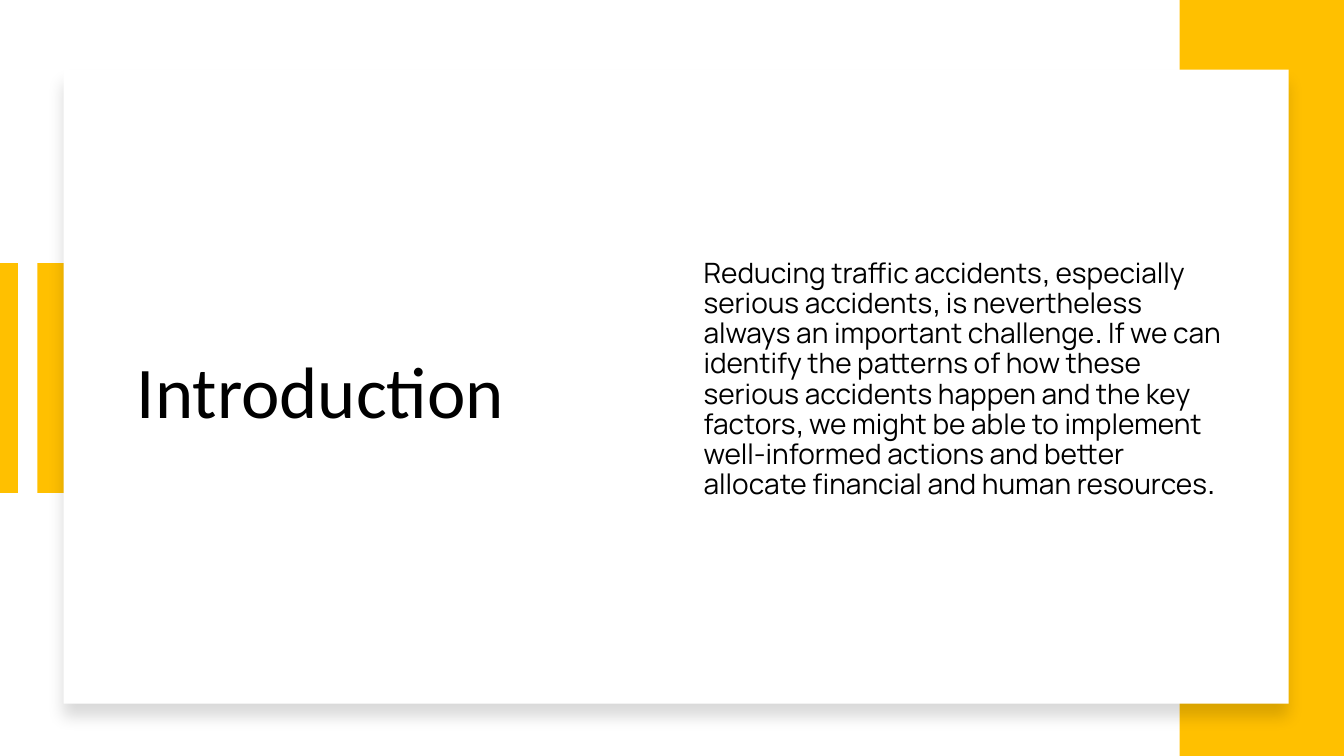
import itertools

import lxml.etree
import pptx
import pptx.dml.color
import pptx.enum.shapes
import pptx.enum.text
import pptx.oxml
import pptx.oxml.ns
import pptx.util

Inches = pptx.util.Inches
Pt = pptx.util.Pt
qn = pptx.oxml.ns.qn

AMBER = "FFC000"
WHITE = "FFFFFF"
BLACK = "000000"
INTRODUCTION = (
    "Reducing traffic accidents,\u00a0especially serious accidents,\u00a0is nevertheless "
    "always an important challenge.\u00a0If we can identify the patterns of how these "
    "serious accidents happen and the key factors,\u00a0we might be able to implement "
    "well-informed actions and better allocate financial and human resources."
)


def color(hex_value):
    return pptx.dml.color.RGBColor.from_string(hex_value)


def apply_format(target, values):
    for name, value in values.items():
        setattr(target, name, value)


def add_panel(slide, left, top, width, height, fill):
    shape = slide.shapes.add_shape(
        pptx.enum.shapes.MSO_SHAPE.RECTANGLE,
        Inches(left), Inches(top), Inches(width), Inches(height))
    shape.shadow.inherit = False
    shape.fill.solid()
    shape.fill.fore_color.rgb = color(fill)
    shape.line.fill.background()
    return shape


def add_soft_shadow(shape, blur, distance, angle, opacity):
    effects = shape._element.spPr.find(qn("a:effectLst"))
    shadow = lxml.etree.SubElement(
        effects, qn("a:outerShdw"), blurRad=str(Pt(blur)), dist=str(Pt(distance)),
        dir=str(angle * 60000), algn="t", rotWithShape="0")
    shade = lxml.etree.SubElement(shadow, qn("a:srgbClr"), val=BLACK)
    lxml.etree.SubElement(shade, qn("a:alpha"), val=str(opacity * 1000))


def add_vertical_line(slide, left, top, bottom, stroke, width):
    line = slide.shapes.add_connector(
        pptx.enum.shapes.MSO_CONNECTOR.STRAIGHT,
        Inches(left), Inches(top), Inches(left), Inches(bottom))
    line.line.color.rgb = color(stroke)
    line.line.width = Pt(width)
    lxml.etree.SubElement(line._element.spPr, qn("a:effectLst"))


def add_text(slide, left, width, runs, size, frame_format=None, paragraph_format=None):
    box = slide.shapes.add_textbox(Inches(left), Inches(1.36), Inches(width), Inches(5.12))
    frame = box.text_frame
    apply_format(frame, {
        "word_wrap": True,
        "vertical_anchor": pptx.enum.text.MSO_ANCHOR.MIDDLE,
        **(frame_format or {}),
    })
    paragraph = frame.paragraphs[0]
    apply_format(paragraph, {"line_spacing": 0.9, **(paragraph_format or {})})
    for text, font_name in runs:
        run = paragraph.add_run()
        run.text = text
        apply_format(run.font, {"name": font_name, "size": Pt(size)})
        run.font.color.rgb = color(BLACK)


def split_punctuation(text, word_font, mark_font):
    groups = itertools.groupby(text, key=lambda character: character in ",.")
    return [("".join(part), mark_font if is_mark else word_font) for is_mark, part in groups]


def main():
    presentation = pptx.Presentation()
    presentation.slide_width = Inches(13.33)
    presentation.slide_height = Inches(7.5)
    slide = presentation.slides.add_slide(presentation.slide_layouts[6])

    # Amber accents on both edges
    add_panel(slide, 0.37, 2.61, 0.34, 2.28, AMBER)
    add_vertical_line(slide, 0.08, 2.61, 4.89, AMBER, 14)
    add_panel(slide, 11.7, 0, 1.63, 7.5, AMBER)

    # White card with a soft shadow
    card = add_panel(slide, 0.63, 0.69, 12.15, 6.29, WHITE)
    add_soft_shadow(card, blur=11, distance=10, angle=90, opacity=15)

    # Title, and body text raised by half a line
    add_text(slide, 1.26, 4.38, [("Introduction", "Calibri")], 52)
    add_text(slide, 6.88, 5.44, split_punctuation(INTRODUCTION, "Manrope", "Arial"), 20,
             {"margin_bottom": Inches(0.35)}, {"space_before": Pt(10)})

    presentation.save("out.pptx")


main()
